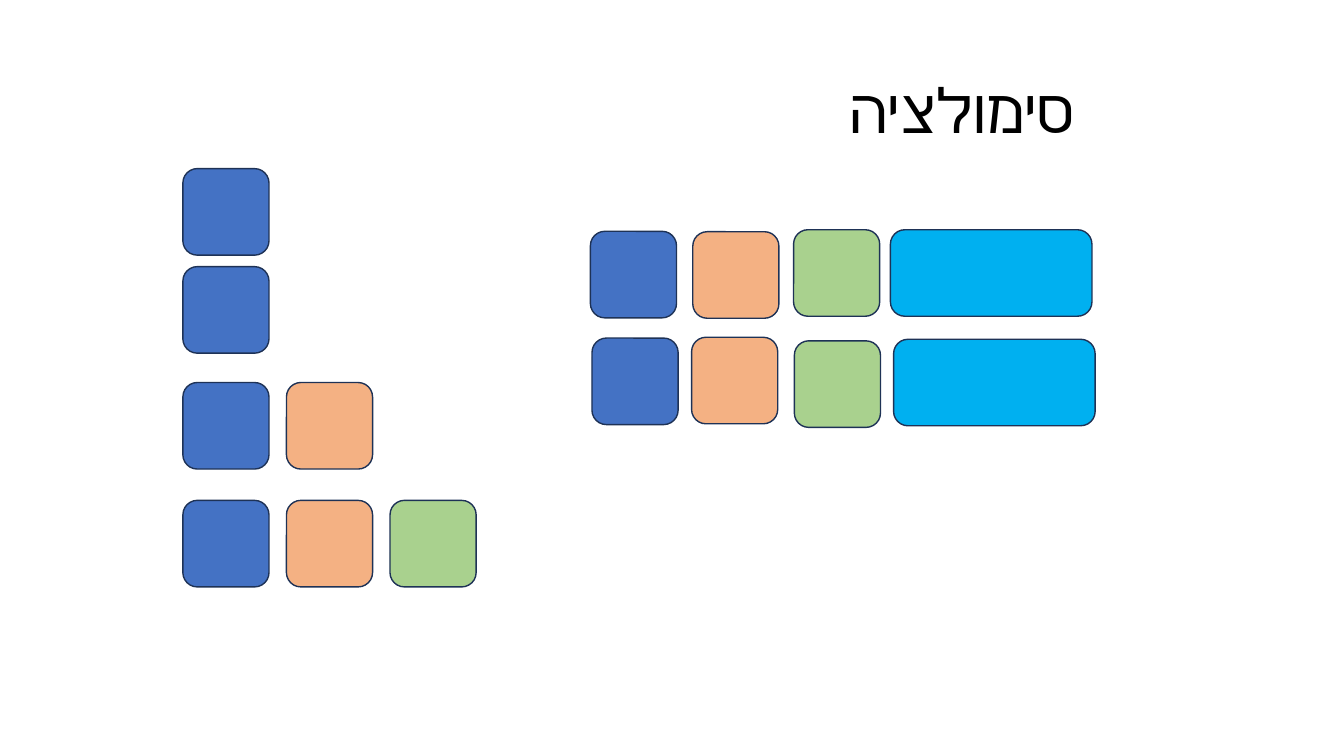
"""Build the simulation slide: growing rows of blocks and two full rows."""
from lxml.etree import SubElement
from pptx import Presentation
from pptx.dml.color import RGBColor
from pptx.enum.shapes import MSO_SHAPE
from pptx.enum.text import MSO_ANCHOR, PP_ALIGN
from pptx.oxml.ns import qn
from pptx.util import Cm, Pt

COLORS = {
    "blue": "4472C4",
    "peach": "F4B183",
    "green": "A9D18E",
    "sky": "00B0F0",
    "edge": "1E3256",
    "ink": "000000",
}
SIDE, HIGH, WIDE = 2.17, 2.18, 5.08


def add_text(text, box, size=18, font="Calibri", color="ink"):
    frame = slide.shapes.add_textbox(*map(Cm, box)).text_frame
    frame.word_wrap = True
    frame.vertical_anchor = MSO_ANCHOR.MIDDLE
    para = frame.paragraphs[0]
    para.alignment = PP_ALIGN.CENTER
    para.line_spacing = 0.9
    para._p.get_or_add_pPr().set("rtl", "1")
    run = para.add_run()
    run.text = text
    run.font.size = Pt(size)
    run.font.name = font
    run.font.color.rgb = RGBColor.from_string(COLORS[color])
    SubElement(run._r.get_or_add_rPr(), qn("a:cs"), typeface=font)


def add_block(color, left, top):
    width = WIDE if color == "sky" else SIDE
    block = slide.shapes.add_shape(
        MSO_SHAPE.ROUNDED_RECTANGLE, Cm(left), Cm(top), Cm(width), Cm(HIGH))
    block.shadow.inherit = False
    block.fill.solid()
    block.fill.fore_color.rgb = RGBColor.from_string(COLORS[color])
    block.line.color.rgb = RGBColor.from_string(COLORS["edge"])
    block.line.width = Pt(1)


deck = Presentation()
deck.slide_width, deck.slide_height = Cm(33.87), Cm(19.05)
slide = deck.slides.add_slide(deck.slide_layouts[6])

STEPS = [
    (4.25, ["blue"]),
    (6.72, ["blue"]),
    (9.64, ["blue", "peach"]),
    (12.61, ["blue", "peach", "green"]),
]
for top, row in STEPS:
    for col, color in enumerate(row):
        add_block(color, 4.61 + 2.61 * col, top)

FULL = {
    "blue": [(14.88, 5.83), (14.92, 8.52)],
    "peach": [(17.46, 5.84), (17.43, 8.5)],
    "green": [(20, 5.79), (20.02, 8.59)],
    "sky": [(22.44, 5.79), (22.52, 8.55)],
}
for color, spots in FULL.items():
    for left, top in spots:
        add_block(color, left, top)

add_text("סימולציה", (16.94, 1.02, 14.61, 3.68), size=44)
deck.save("out.pptx")
